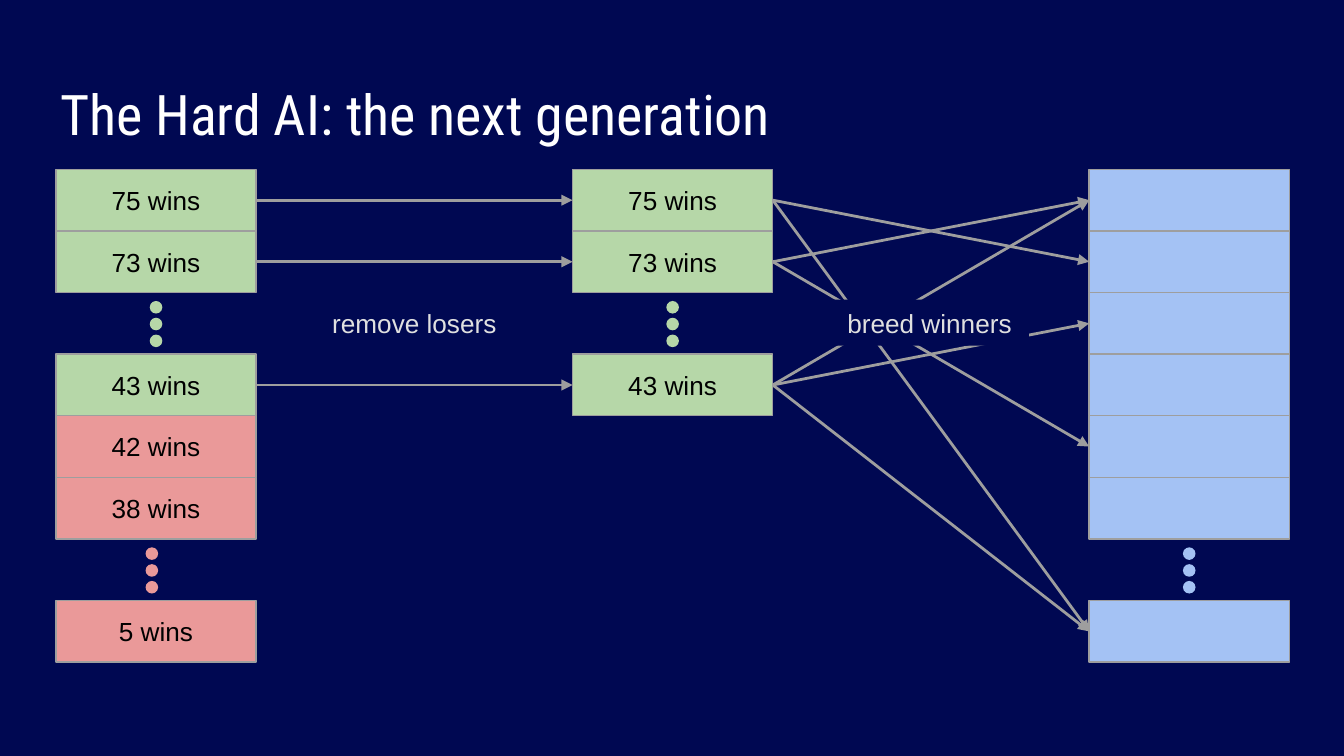
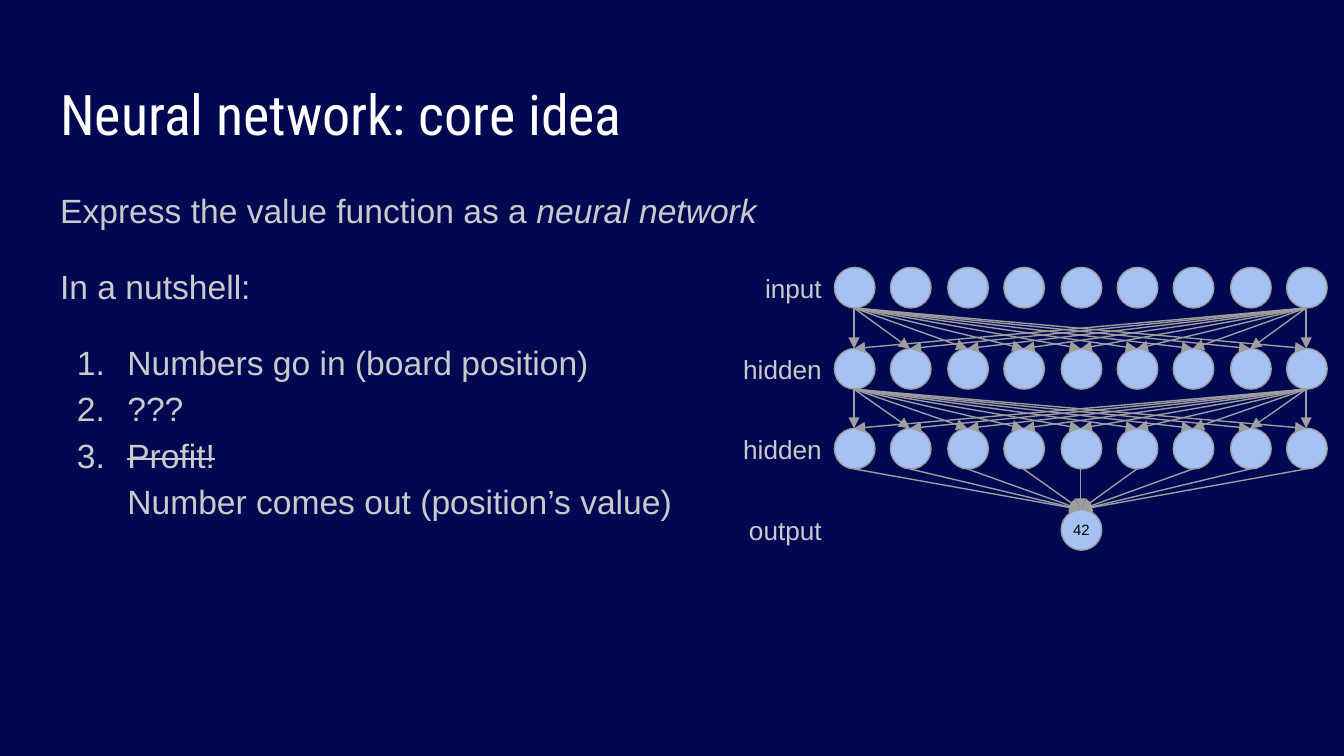
from dataclasses import dataclass
from typing import NamedTuple, Optional

from lxml import etree
from pptx import Presentation
from pptx.dml.color import RGBColor
from pptx.enum.shapes import MSO_CONNECTOR, MSO_SHAPE
from pptx.enum.text import MSO_ANCHOR, PP_ALIGN
from pptx.oxml.ns import qn
from pptx.shapes.autoshape import Shape
from pptx.shapes.connector import Connector
from pptx.slide import Slide
from pptx.text.text import _Paragraph as Paragraph, _Run as Run
from pptx.util import Emu, Pt

RECTANGLE = MSO_SHAPE.RECTANGLE
ELLIPSE = MSO_SHAPE.OVAL
STRAIGHT = MSO_CONNECTOR.STRAIGHT
LEFT, CENTER, RIGHT = PP_ALIGN.LEFT, PP_ALIGN.CENTER, PP_ALIGN.RIGHT
TOP, MIDDLE = MSO_ANCHOR.TOP, MSO_ANCHOR.MIDDLE
LEFT_SIDE, RIGHT_SIDE = 1, 3

EMU_PER_PX = 9525
SLIDE_WIDTH, SLIDE_HEIGHT = 960, 540
TEXT_MARGIN = 10

NAVY, WHITE, BLACK = "000852", "FFFFFF", "000000"
GREEN, RED, BLUE = "B6D7A8", "EA9999", "A4C2F4"
OUTLINE, LABEL_GRAY, BODY_GRAY = "9E9E9E", "E0E0E0", "CACACA"

# Ranking columns
CELL_WIDTH, CELL_HEIGHT, FIRST_ROW_TOP = 143, 44, 121
RANKED_LEFT, WINNERS_LEFT, CHILDREN_LEFT = 40, 409, 778
DOT_SIZE, DOT_STEP, DOT_INSET = 9, 12, 6

# Network
NEURON_SIZE, NEURONS_PER_LAYER = 29, 9
LAYER_NAMES = ("input", "hidden", "hidden", "output")


class Box(NamedTuple):
    left: int
    top: int
    width: int
    height: int


class Point(NamedTuple):
    x: int
    y: int


@dataclass(frozen=True)
class TextStyle:
    size: int
    color: str
    align: PP_ALIGN = CENTER
    anchor: MSO_ANCHOR = MIDDLE
    font: str = "Arial"


@dataclass(frozen=True)
class Cell:
    row: int
    fill: str
    text: str = ""


@dataclass(frozen=True)
class Ellipsis:
    row: int
    fill: str
    shift: int = 0


TITLE_STYLE = TextStyle(30, WHITE, LEFT, TOP, "Roboto Condensed")
BODY_STYLE = TextStyle(18, BODY_GRAY, LEFT, TOP)
CELL_STYLE = TextStyle(14, BLACK)
STEP_STYLE = TextStyle(14, LABEL_GRAY)
LAYER_STYLE = TextStyle(14, BODY_GRAY, RIGHT)
VALUE_STYLE = TextStyle(8, BLACK)

RANKED = (
    Cell(0, GREEN, "75 wins"),
    Cell(1, GREEN, "73 wins"),
    Cell(3, GREEN, "43 wins"),
    Cell(4, RED, "42 wins"),
    Cell(5, RED, "38 wins"),
    Cell(7, RED, "5 wins"),
)
WINNERS = RANKED[:3]
CHILDREN = tuple(Cell(row, BLUE) for row in (0, 1, 2, 3, 4, 5, 7))
# (winner row, child row)
BREEDING = ((0, 7), (1, 4), (0, 1), (3, 0), (1, 0), (3, 2), (3, 7))


def px(length: int) -> Emu:
    return Emu(length * EMU_PER_PX)


def rgb(color: str) -> RGBColor:
    return RGBColor.from_string(color)


def spread(first: int, last: int, count: int) -> list[int]:
    """Return evenly spaced positions from first to last."""
    return [round(first + (last - first) * i / (count - 1)) for i in range(count)]


def add_run(paragraph: Paragraph, text: str, style: TextStyle) -> Run:
    run = paragraph.add_run()
    run.text = text
    run.font.name = style.font
    run.font.size = Pt(style.size)
    run.font.color.rgb = rgb(style.color)
    return run


def prepare_text(shape: Shape, style: TextStyle) -> Paragraph:
    """Set up the text frame and return its first paragraph."""
    frame = shape.text_frame
    frame.word_wrap = True
    frame.vertical_anchor = style.anchor
    frame.margin_left = frame.margin_right = px(TEXT_MARGIN)
    frame.margin_top = frame.margin_bottom = px(TEXT_MARGIN)
    paragraph = frame.paragraphs[0]
    paragraph.alignment = style.align
    return paragraph


def draw_text(slide: Slide, box: Box, text: str, style: TextStyle) -> None:
    shape = slide.shapes.add_textbox(*map(px, box))
    add_run(prepare_text(shape, style), text, style)


def draw_shape(
    slide: Slide,
    kind: MSO_SHAPE,
    box: Box,
    fill: Optional[str] = None,
    line: Optional[str] = None,
    text: str = "",
    style: TextStyle = CELL_STYLE,
) -> Shape:
    shape = slide.shapes.add_shape(kind, *map(px, box))
    shape.shadow.inherit = False
    if fill:
        shape.fill.solid()
        shape.fill.fore_color.rgb = rgb(fill)
    else:
        shape.fill.background()
    if line:
        shape.line.color.rgb = rgb(line)
        shape.line.width = Pt(0.75)
    else:
        shape.line.fill.background()
    if text:
        add_run(prepare_text(shape, style), text, style)
    return shape


def draw_arrow(slide: Slide, start: Point, end: Point, weight: float) -> Connector:
    arrow = slide.shapes.add_connector(STRAIGHT, *map(px, (*start, *end)))
    arrow.line.color.rgb = rgb(OUTLINE)
    arrow.line.width = Pt(weight)
    etree.SubElement(arrow.line._get_or_add_ln(), qn("a:tailEnd"), type="triangle")
    etree.SubElement(arrow._element.spPr, qn("a:effectLst"))
    return arrow


def join_cells(slide: Slide, source: Shape, target: Shape) -> None:
    arrow = draw_arrow(slide, Point(0, 0), Point(0, 0), 1.5)
    arrow.begin_connect(source, RIGHT_SIDE)
    arrow.end_connect(target, LEFT_SIDE)


def draw_column(
    slide: Slide, left: int, cells: tuple[Cell, ...], gaps: tuple[Ellipsis, ...]
) -> dict[int, Shape]:
    """Draw stacked cells and dotted gaps; return the cells by row."""
    shapes = {}
    for cell in cells:
        top = FIRST_ROW_TOP + cell.row * CELL_HEIGHT
        box = Box(left, top, CELL_WIDTH, CELL_HEIGHT)
        shapes[cell.row] = draw_shape(slide, RECTANGLE, box, cell.fill, OUTLINE, cell.text)
    for gap in gaps:
        dot_left = left + (CELL_WIDTH - DOT_SIZE) // 2 + gap.shift
        first_top = FIRST_ROW_TOP + gap.row * CELL_HEIGHT + DOT_INSET
        for i in range(3):
            box = Box(dot_left, first_top + i * DOT_STEP, DOT_SIZE, DOT_SIZE)
            draw_shape(slide, ELLIPSE, box, gap.fill)
    return shapes


def add_titled_slide(presentation: Presentation, title: str) -> Slide:
    slide = presentation.slides.add_slide(presentation.slide_layouts[6])
    slide.background.fill.solid()
    slide.background.fill.fore_color.rgb = rgb(NAVY)
    draw_text(slide, Box(33, 47, 895, 60), title, TITLE_STYLE)
    return slide


def build_generation_slide(presentation: Presentation) -> None:
    slide = add_titled_slide(presentation, "The Hard AI: the next generation")
    ranked = draw_column(
        slide, RANKED_LEFT, RANKED, (Ellipsis(2, GREEN), Ellipsis(6, RED, -3))
    )
    winners = draw_column(slide, WINNERS_LEFT, WINNERS, (Ellipsis(2, GREEN),))
    children = draw_column(slide, CHILDREN_LEFT, CHILDREN, (Ellipsis(6, BLUE),))
    for winner_row, child_row in BREEDING:
        join_cells(slide, winners[winner_row], children[child_row])
    for row, winner in winners.items():
        join_cells(slide, ranked[row], winner)
    draw_text(slide, Box(225, 215, 142, 32), "remove losers", STEP_STYLE)
    draw_shape(
        slide, RECTANGLE, Box(593, 214, 142, 33), NAVY, text="breed winners", style=STEP_STYLE
    )


def make_numbered(paragraph: Paragraph) -> None:
    properties = paragraph._p.get_or_add_pPr()
    properties.set("marL", str(px(48)))
    properties.set("indent", str(-px(36)))
    bullet_color = etree.SubElement(properties, qn("a:buClr"))
    etree.SubElement(bullet_color, qn("a:srgbClr"), val=BODY_GRAY)
    etree.SubElement(properties, qn("a:buFont"), typeface=BODY_STYLE.font)
    etree.SubElement(properties, qn("a:buAutoNum"), type="arabicPeriod")


def draw_outline(slide: Slide) -> None:
    shape = slide.shapes.add_textbox(*map(px, Box(33, 121, 529, 359)))
    intro = prepare_text(shape, BODY_STYLE)
    lead, *steps = [shape.text_frame.add_paragraph() for _ in range(4)]
    for paragraph in (intro, lead, *steps):
        paragraph.line_spacing = 1.15
    for paragraph in (lead, steps[0]):
        paragraph.space_before = Pt(16)
    for step in steps:
        make_numbered(step)

    add_run(intro, "Express the value function as a ", BODY_STYLE)
    add_run(intro, "neural network", BODY_STYLE).font.italic = True
    add_run(lead, "In a nutshell:", BODY_STYLE)
    add_run(steps[0], "Numbers go in (board position)", BODY_STYLE)
    add_run(steps[1], "???", BODY_STYLE)
    profit = add_run(steps[2], "Profit!", BODY_STYLE)
    profit._r.get_or_add_rPr().set("strike", "sngStrike")
    steps[2].add_line_break()
    add_run(steps[2], "Number comes out (position’s value)", BODY_STYLE)


def draw_network(slide: Slide) -> None:
    lefts = spread(596, 919, NEURONS_PER_LAYER)
    tops = spread(191, 364, len(LAYER_NAMES))
    output_left = lefts[NEURONS_PER_LAYER // 2]
    layers = [lefts, lefts, lefts, [output_left]]
    for top, layer, name in zip(tops, layers, LAYER_NAMES):
        for left in layer:
            box = Box(left, top, NEURON_SIZE, NEURON_SIZE)
            draw_shape(slide, ELLIPSE, box, BLUE, OUTLINE)
        draw_text(slide, Box(516, top, 81, NEURON_SIZE), name, LAYER_STYLE)

    radius = NEURON_SIZE // 2
    outer = [lefts[0], lefts[-1]]
    for i, sources in enumerate((outer, outer, lefts)):
        for source in sources:
            for target in layers[i + 1]:
                start = Point(source + radius, tops[i] + NEURON_SIZE)
                end = Point(target + radius, tops[i + 1])
                draw_arrow(slide, start, end, 0.75)
    value_box = Box(output_left - 13, tops[-1], NEURON_SIZE + 26, NEURON_SIZE)
    draw_shape(slide, ELLIPSE, value_box, text="42", style=VALUE_STYLE)


def build_network_slide(presentation: Presentation) -> None:
    slide = add_titled_slide(presentation, "Neural network: core idea")
    draw_outline(slide)
    draw_network(slide)


def main() -> None:
    presentation = Presentation()
    presentation.slide_width = px(SLIDE_WIDTH)
    presentation.slide_height = px(SLIDE_HEIGHT)
    build_generation_slide(presentation)
    build_network_slide(presentation)
    presentation.save("out.pptx")


if __name__ == "__main__":
    main()
